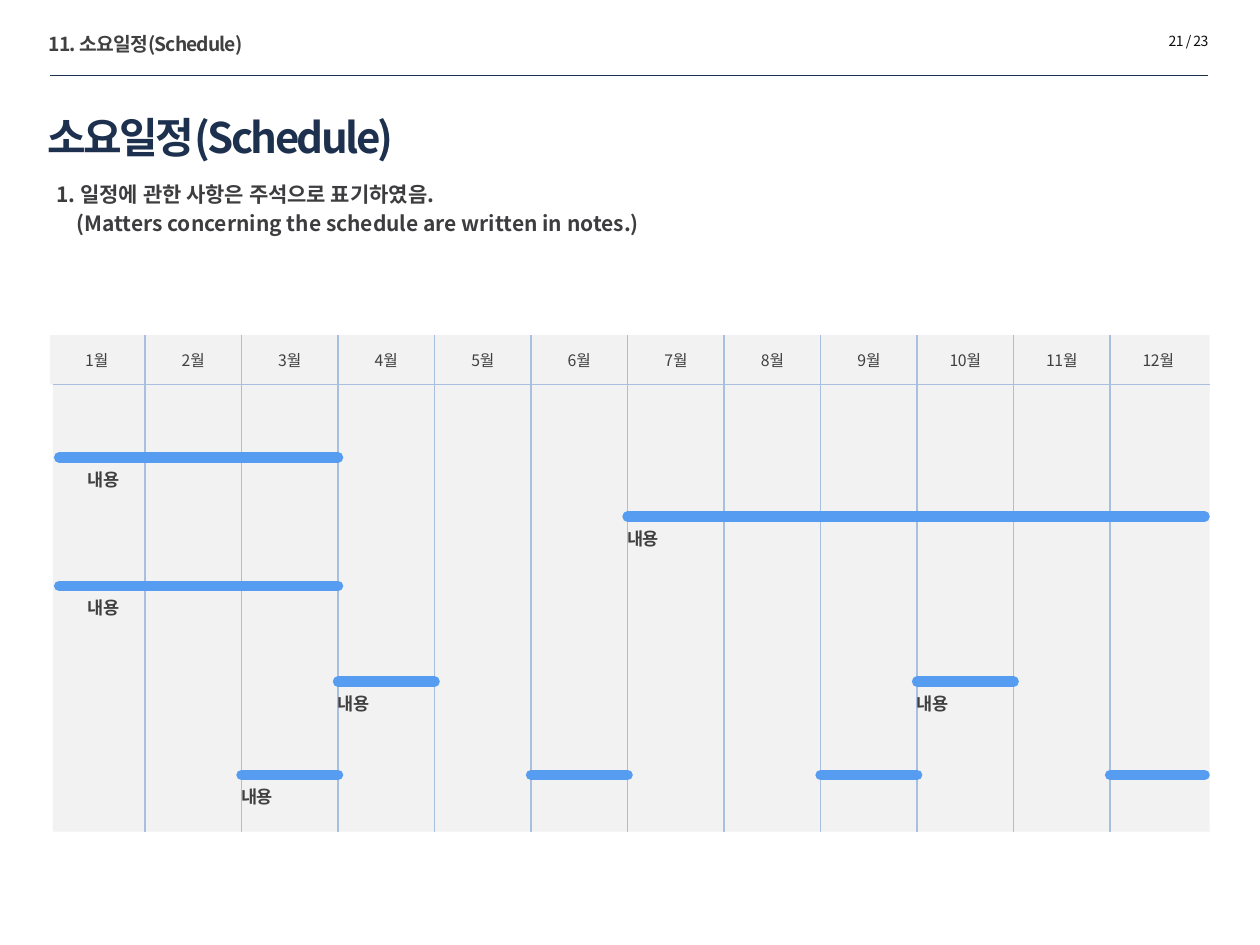
from lxml import etree
from pptx import Presentation
from pptx.dml.color import RGBColor
from pptx.enum.shapes import MSO_CONNECTOR, MSO_SHAPE
from pptx.enum.text import MSO_ANCHOR, MSO_AUTO_SIZE, PP_ALIGN
from pptx.oxml.ns import qn
from pptx.util import Inches, Pt

STRAIGHT = MSO_CONNECTOR.STRAIGHT
RECT = MSO_SHAPE.RECTANGLE
LEFT, CENTER, RIGHT = PP_ALIGN.LEFT, PP_ALIGN.CENTER, PP_ALIGN.RIGHT
TOP, MIDDLE = MSO_ANCHOR.TOP, MSO_ANCHOR.MIDDLE

# Content
HEADER = "11. 소요일정(Schedule)"
PAGE = "21 / 23"
TITLE = "소요일정(Schedule)"
NOTES = ["1. 일정에 관한 사항은 주석으로 표기하였음.",
         "(Matters concerning the schedule are written in notes.)"]
MONTHS = [f"{n}월" for n in range(1, 13)]
# Bars: height on the slide, months passed at start and end, label, label indent
BARS = [
    (3.63, 0, 3, "내용", 0.23),
    (4.65, 0, 3, "내용", 0.23),
    (4.10, 6, 12, "내용", 0),
    (5.41, 3, 4, "내용", 0),
    (5.41, 9, 10, "내용", 0),
    (6.15, 2, 3, "내용", 0),
    (6.15, 4 + 1, 6, "", 0),
    (6.15, 8, 9, "", 0),
    (6.15, 11, 12, "", 0),
]
BARS = [(y, a, b, label, indent) for y, a, b, label, indent in BARS]

# Theme: colour, size, bold and letter spacing of each text role
THEME = {
    "font": "Noto Sans CJK KR",
    "panel": "F2F2F2", "grid": "A8BFDF", "bar": "569CF0", "rule": "1C314E",
    "header": ("404040", 11, True, -0.5),
    "page": ("0D0D0D", 8, False, -0.3),
    "title": ("1D314E", 24, True, -1.5),
    "note": ("3D3C3E", 12, True, 0),
    "month": ("404040", 9, False, -0.3),
    "label": ("404040", 10, True, -0.3),
}

# Schedule grid
GRID_L, GRID_R, GRID_T, GRID_B = 0.42, 9.6, 2.66, 6.6
HEAD_H, MONTH_W, FIRST_X = 0.39, 0.766, 0.385
BAR_MIN, BAR_MAX = 0.47, 9.56


def month_x(passed):
    return FIRST_X + passed * MONTH_W


def write(tf, lines, role, align=LEFT, anchor=TOP, wrap=True):
    color, size, bold, spacing = THEME[role]
    tf.word_wrap = wrap
    tf.auto_size = MSO_AUTO_SIZE.NONE
    tf.vertical_anchor = anchor
    for i, line in enumerate(lines):
        p = tf.paragraphs[0] if i == 0 else tf.add_paragraph()
        p.alignment = align
        r = p.add_run()
        r.text = line
        r.font.name = THEME["font"]
        r.font.size = Pt(size)
        r.font.bold = bold
        r.font.color.rgb = RGBColor.from_string(color)
        rpr = r.font._element
        rpr.set("spc", str(round(spacing * 100)))
        etree.SubElement(rpr, qn("a:ea"), typeface=THEME["font"])


def add_text(s, box, lines, role, align=LEFT):
    tf = s.shapes.add_textbox(*map(Inches, box)).text_frame
    write(tf, lines, role, align)
    return tf


def add_rect(s, box):
    sp = s.shapes.add_shape(RECT, *map(Inches, box))
    sp.shadow.inherit = False
    sp.fill.solid()
    sp.fill.fore_color.rgb = RGBColor.from_string(THEME["panel"])
    sp.line.fill.background()
    return sp


def add_line(s, x1, y1, x2, y2, role, width, rounded=False):
    line = s.shapes.add_connector(STRAIGHT, *map(Inches, (x1, y1, x2, y2)))
    line.line.color.rgb = RGBColor.from_string(THEME[role])
    line.line.width = Pt(width)
    sppr = line._element.spPr
    if rounded:
        sppr.find(qn("a:ln")).set("cap", "rnd")
    etree.SubElement(sppr, qn("a:effectLst"))


def add_schedule(s):
    # Panel and month heads
    add_rect(s, (GRID_L, GRID_T, GRID_R - GRID_L, GRID_B - GRID_T))
    for i, month in enumerate(MONTHS):
        sp = add_rect(s, (month_x(i) + 0.01, GRID_T, MONTH_W - 0.02, HEAD_H))
        write(sp.text_frame, [month], "month", CENTER, MIDDLE, wrap=False)

    # Grid lines
    head_y = GRID_T + HEAD_H
    add_line(s, GRID_L, head_y, GRID_R, head_y, "grid", 0.5)
    for i in range(1, len(MONTHS)):
        add_line(s, month_x(i), GRID_T, month_x(i), GRID_B, "grid", 0.75)

    # Bars and their labels
    for y, start, end, label, indent in BARS:
        x1, x2 = max(month_x(start), BAR_MIN), min(month_x(end), BAR_MAX)
        if label:
            add_text(s, (x1 - 0.1 + indent, y + 0.04, 2, 0.27), [label], "label")
        add_line(s, x1, y, x2, y, "bar", 6, rounded=True)


def main():
    prs = Presentation()
    prs.slide_width, prs.slide_height = Inches(10), Inches(7.5)
    s = prs.slides.add_slide(prs.slide_layouts[5])

    # Header strip
    add_text(s, (0.29, 0.21, 5.32, 0.29), [HEADER], "header")
    add_text(s, (7.96, 0.21, 1.73, 0.24), [PAGE], "page", RIGHT)
    add_line(s, 0.4, 0.6, 9.59, 0.6, "rule", 0.25)

    # Title
    title = s.shapes.title
    title.left, title.top, title.width, title.height = map(
        Inches, (0.28, 0.67, 9.28, 0.83))
    write(title.text_frame, [TITLE], "title", anchor=MIDDLE)

    # Notes, the second line indented under the first
    tf = add_text(s, (0.35, 1.39, 7.27, 0.76), NOTES, "note")
    for p in tf.paragraphs:
        p.space_before = Pt(2.4)
    tf.paragraphs[1]._p.get_or_add_pPr().set("marL", str(Inches(0.16)))

    add_schedule(s)
    prs.save("out.pptx")


if __name__ == "__main__":
    main()
